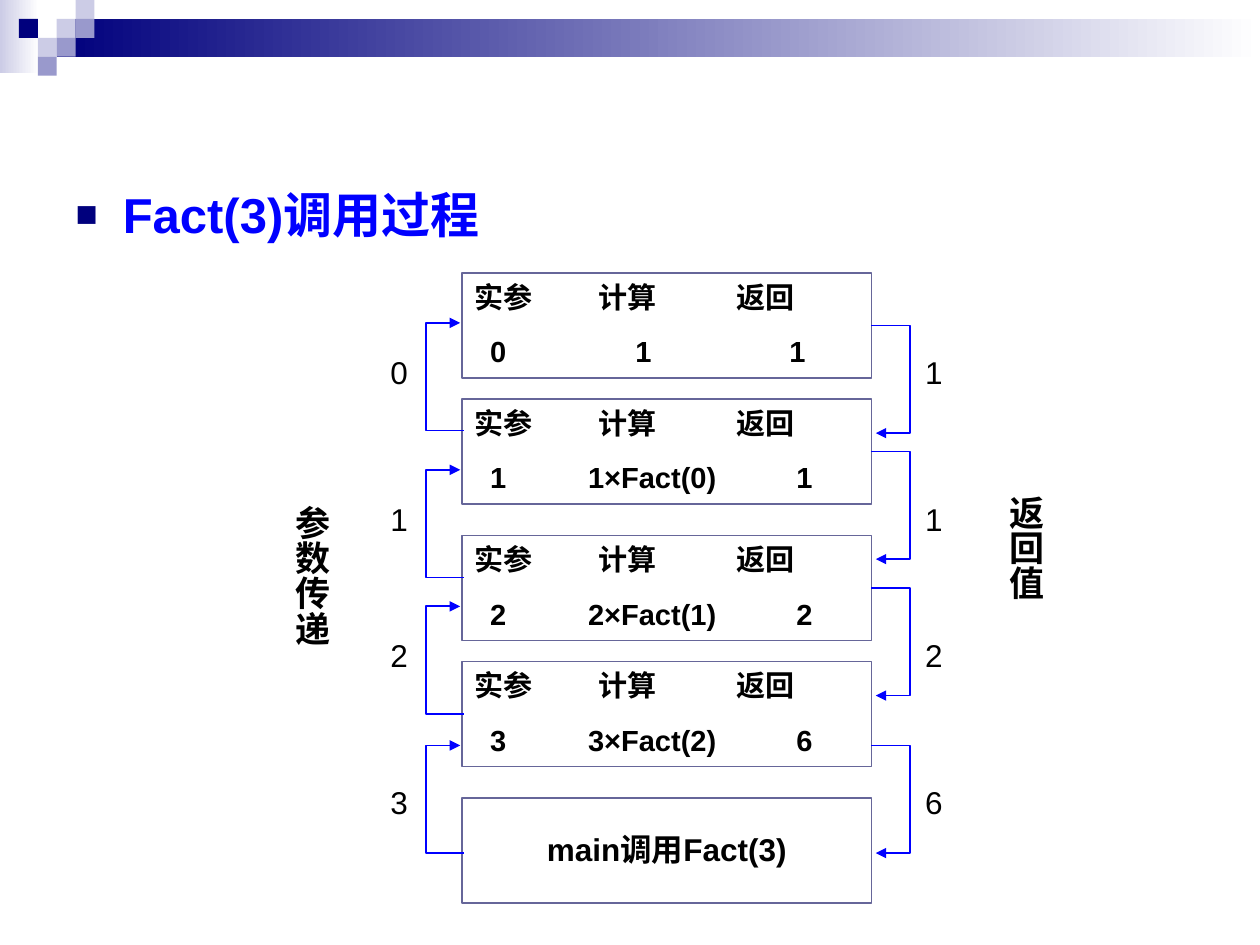
from dataclasses import dataclass
from typing import NamedTuple

from lxml.etree import SubElement
from pptx import Presentation
from pptx.dml.color import RGBColor as Rgb
from pptx.enum.shapes import MSO_SHAPE as Preset
from pptx.enum.text import MSO_ANCHOR as Anchor, MSO_AUTO_SIZE as AutoSize, PP_ALIGN as Align
from pptx.oxml.ns import qn
from pptx.util import Pt


@dataclass(frozen=True)
class Theme:
    font: str = "Arial"
    navy: str = "00007D"
    lilac: str = "CCCCE6"
    violet: str = "9999CC"
    white: str = "FFFFFF"
    black: str = "000000"
    blue: str = "0000FF"
    border: str = "666699"
    heading_size: float = 28
    side_size: float = 20
    label_size: float = 18
    frame_size: float = 16.6
    border_width: float = 0.75
    arrow_width: float = 1


class Area(NamedTuple):
    left: float
    top: float
    width: float
    height: float


class Insets(NamedTuple):
    left: float = 7.2
    top: float = 3.6
    right: float = 7.2
    bottom: float = 3.6


class Tile(NamedTuple):
    column: int
    row: int
    color: str


class Call(NamedTuple):
    top: float
    values: tuple
    stops: tuple


class Step(NamedTuple):
    argument: str
    result: str
    label_top: float
    pass_top: float
    return_top: float


THEME = Theme()
TILE = 10.8
FRAME_LEFT, FRAME_WIDTH, FRAME_HEIGHT = 264, 234, 60
FRAME_RIGHT = FRAME_LEFT + FRAME_WIDTH
ARROW_HEIGHT = 61.5
HEADER = ("实参", "计算", "返回")
HEADER_STOPS = (71, 150)
VALUE_STOPS = (9, 65, 184)

TILES = (
    Tile(3, 1, THEME.lilac), Tile(4, 0, THEME.lilac), Tile(4, 1, THEME.violet),
    Tile(2, 2, THEME.lilac), Tile(1, 1, THEME.navy), Tile(3, 2, THEME.violet),
    Tile(2, 3, THEME.violet),
)
CALLS = (
    Call(156, ("0", "1", "1"), (9, 92, 180)),
    Call(228, ("1", "1×Fact(0)", "1"), VALUE_STOPS),
    Call(306, ("2", "2×Fact(1)", "2"), VALUE_STOPS),
    Call(378, ("3", "3×Fact(2)", "6"), VALUE_STOPS),
)
STEPS = (
    Step("0", "1", 198, 184.5, 186),
    Step("1", "1", 282, 268.5, 258),
    Step("2", "2", 360, 346.5, 336),
    Step("3", "6", 444, 426, 426),
)


def in_points(area: Area) -> tuple:
    return tuple(Pt(length) for length in area)


def add_run(paragraph, text: str, size: float, color: str = THEME.black, bold: bool = True) -> None:
    run = paragraph.add_run()
    run.text = text
    run.font.name = THEME.font
    run.font.size = Pt(size)
    run.font.bold = bold
    run.font.color.rgb = Rgb.from_string(color)


def set_tabs(paragraph, stops: tuple) -> None:
    tabs = SubElement(paragraph._p.get_or_add_pPr(), qn("a:tabLst"))
    for stop in stops:
        SubElement(tabs, qn("a:tab"), pos=str(Pt(stop)), algn="l")


def set_insets(frame, insets: Insets) -> None:
    frame.margin_left, frame.margin_top, frame.margin_right, frame.margin_bottom = in_points(insets)


def add_block(slide, area: Area, color: str, fade: bool = False) -> None:
    block = slide.shapes.add_shape(Preset.RECTANGLE, *in_points(area))
    block.shadow.inherit = False
    block.line.fill.background()
    if fade:
        block.fill.gradient()
        block.fill.gradient_angle = 0
        for stop, shade in zip(block.fill.gradient_stops, (color, THEME.white)):
            stop.color.rgb = Rgb.from_string(shade)
    else:
        block.fill.solid()
        block.fill.fore_color.rgb = Rgb.from_string(color)


def add_banner(slide) -> None:
    add_block(slide, Area(0, 0, 22.3, 41.8), THEME.lilac, fade=True)
    add_block(slide, Area(3 * TILE, TILE, 720 - 3 * TILE, 2 * TILE), THEME.navy, fade=True)
    for tile in TILES:
        add_block(slide, Area(tile.column * TILE, tile.row * TILE, TILE, TILE), tile.color)


def add_heading(slide, text: str) -> None:
    heading = slide.shapes.title
    heading.left, heading.top, heading.width, heading.height = in_points(Area(36, 102, 648, 48))
    frame = heading.text_frame
    frame.vertical_anchor = Anchor.TOP
    frame.auto_size = AutoSize.NONE
    frame.word_wrap = True
    set_insets(frame, Insets())
    paragraph = frame.paragraphs[0]
    paragraph.alignment = Align.LEFT
    properties = paragraph._p.get_or_add_pPr()
    properties.set("marL", str(Pt(27)))
    properties.set("indent", str(Pt(-27)))
    SubElement(SubElement(properties, qn("a:buClr")), qn("a:srgbClr"), val=THEME.navy)
    SubElement(properties, qn("a:buSzPct"), val="75000")
    SubElement(properties, qn("a:buFont"), typeface=THEME.font)
    SubElement(properties, qn("a:buChar"), char="■")
    add_run(paragraph, text, THEME.heading_size, THEME.blue)


def add_frame(slide, top: float, insets: Insets = Insets()):
    box = slide.shapes.add_shape(
        Preset.RECTANGLE, *in_points(Area(FRAME_LEFT, top, FRAME_WIDTH, FRAME_HEIGHT)))
    box.shadow.inherit = False
    box.fill.background()
    box.line.color.rgb = Rgb.from_string(THEME.border)
    box.line.width = Pt(THEME.border_width)
    frame = box.text_frame
    frame.word_wrap = True
    frame.vertical_anchor = Anchor.TOP
    set_insets(frame, insets)
    return frame


def add_call(slide, call: Call) -> None:
    frame = add_frame(slide, call.top)
    header, values = frame.paragraphs[0], frame.add_paragraph()
    values.space_before = Pt(11.2)
    header.alignment = values.alignment = Align.LEFT
    set_tabs(header, HEADER_STOPS)
    set_tabs(values, call.stops)
    add_run(header, "\t".join(HEADER), THEME.frame_size)
    add_run(values, "\t" + "\t".join(call.values), THEME.frame_size)


def add_main(slide) -> None:
    paragraph = add_frame(slide, 456, Insets(top=18)).paragraphs[0]
    paragraph.alignment = Align.CENTER
    add_run(paragraph, "main调用Fact(3)", THEME.label_size)


def add_arrow(slide, start: tuple, *corners: tuple) -> None:
    builder = slide.shapes.build_freeform(Pt(start[0]), Pt(start[1]))
    builder.add_line_segments([(Pt(x), Pt(y)) for x, y in corners], close=False)
    arrow = builder.convert_to_shape()
    arrow.shadow.inherit = False
    arrow.fill.background()
    arrow.line.color.rgb = Rgb.from_string(THEME.blue)
    arrow.line.width = Pt(THEME.arrow_width)
    SubElement(arrow._element.spPr.find(qn("a:ln")), qn("a:tailEnd"), type="triangle")


def add_label(slide, left: float, top: float, text: str) -> None:
    frame = slide.shapes.add_textbox(*in_points(Area(left, top, 24, 29))).text_frame
    frame.word_wrap = False
    frame.auto_size = AutoSize.SHAPE_TO_FIT_TEXT
    set_insets(frame, Insets())
    add_run(frame.paragraphs[0], text, THEME.label_size, bold=False)


def add_side_caption(slide, left: float, top: float, text: str) -> None:
    frame = slide.shapes.add_textbox(*in_points(Area(left, top, 38, 96))).text_frame
    frame.word_wrap = True
    set_insets(frame, Insets(3.6, 7.2, 3.6, 7.2))
    frame._txBody.bodyPr.set("vert", "eaVert")
    add_run(frame.paragraphs[0], text, THEME.side_size)


def add_step(slide, step: Step) -> None:
    pass_bottom = step.pass_top + ARROW_HEIGHT
    return_bottom = step.return_top + ARROW_HEIGHT
    pass_x, return_x = FRAME_LEFT - 20.5, FRAME_RIGHT + 22
    add_arrow(slide, (FRAME_LEFT + 1, pass_bottom), (pass_x, pass_bottom),
              (pass_x, step.pass_top), (FRAME_LEFT - 1, step.pass_top))
    add_arrow(slide, (FRAME_RIGHT, step.return_top), (return_x, step.return_top),
              (return_x, return_bottom), (FRAME_RIGHT + 2.5, return_bottom))
    add_label(slide, 216, step.label_top, step.argument)
    add_label(slide, 521.5, step.label_top, step.result)


def main() -> None:
    deck = Presentation()
    deck.slide_width, deck.slide_height = Pt(720), Pt(540)
    slide = deck.slides.add_slide(deck.slide_layouts[5])
    add_banner(slide)
    add_heading(slide, "Fact(3)调用过程")
    add_main(slide)
    for call in CALLS:
        add_call(slide, call)
    for step in STEPS:
        add_step(slide, step)
    add_side_caption(slide, 156, 282, "参数传递")
    add_side_caption(slide, 564, 276, "返回值")
    deck.save("out.pptx")


if __name__ == "__main__":
    main()
